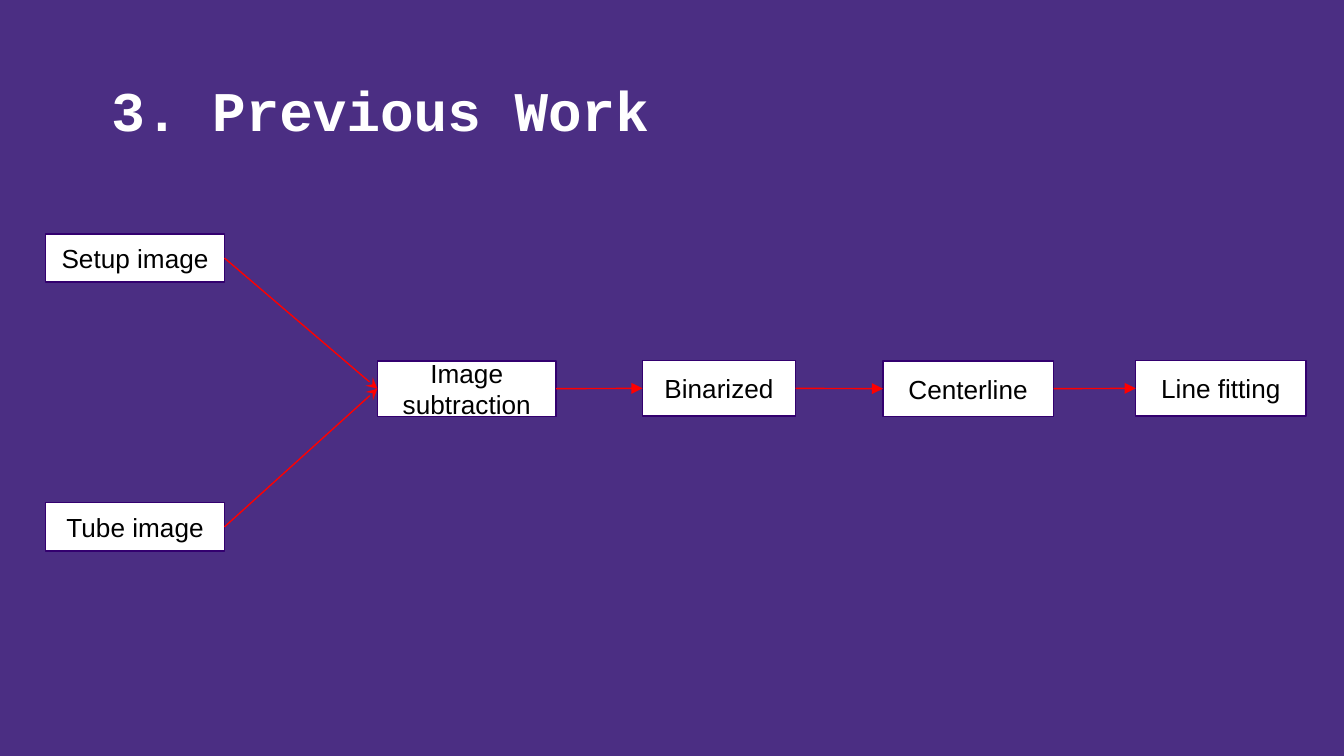
from lxml import etree
from pptx import Presentation
from pptx.dml.color import RGBColor
from pptx.enum.shapes import MSO_CONNECTOR, MSO_SHAPE
from pptx.enum.text import MSO_ANCHOR, PP_ALIGN
from pptx.oxml.ns import qn
from pptx.util import Pt

RECT = MSO_SHAPE.RECTANGLE
LINE = MSO_CONNECTOR.STRAIGHT
MID, LOW = MSO_ANCHOR.MIDDLE, MSO_ANCHOR.BOTTOM
LEFT, CENTER = PP_ALIGN.LEFT, PP_ALIGN.CENTER

# Content
TITLE = "3. Previous Work"
# name: left, top, width, height
STEPS = {
    "Setup image": (24.5, 125.3, 95.8, 25.9),
    "Tube image": (24.5, 269.3, 95.8, 25.9),
    "Image subtraction": (202.2, 193.5, 95.8, 29.5),
    "Binarized": (344.2, 193.3, 82, 29.5),
    "Centerline": (473, 193.5, 91.4, 29.5),
    "Line fitting": (608.4, 193.3, 91.4, 29.5),
}
NAMES = list(STEPS)
INPUTS, CHAIN = NAMES[:2], NAMES[2:]
LINKS = [(name, CHAIN[0], "stealth") for name in INPUTS]
LINKS += [(a, b, "triangle") for a, b in zip(CHAIN, CHAIN[1:])]


def color(code):
    return RGBColor.from_string(code)


def write(shape, text, font, size, code, bold, align, anchor, pad):
    frame = shape.text_frame
    frame.word_wrap = True
    frame.vertical_anchor = anchor
    frame.margin_left = frame.margin_right = Pt(7.2)
    frame.margin_top = frame.margin_bottom = Pt(pad)
    para = frame.paragraphs[0]
    para.alignment = align
    run = para.add_run()
    run.text = text
    run.font.name, run.font.size, run.font.bold = font, Pt(size), bold
    run.font.color.rgb = color(code)


def add_box(slide, name, place):
    box = slide.shapes.add_shape(RECT, *map(Pt, place))
    box.shadow.inherit = False
    box.fill.solid()
    box.fill.fore_color.rgb = color("FFFFFF")
    box.line.color.rgb = color("33006F")
    box.line.width = Pt(0.75)
    write(box, name, "Arial", 14, "000000", False, CENTER, MID, 7.2)
    return box


def add_link(slide, start, end, head):
    link = slide.shapes.add_connector(LINE, 0, 0, 0, 0)
    link.begin_connect(start, 3)
    link.end_connect(end, 1)
    link.line.color.rgb = color("FF0000")
    link.line.width = Pt(0.75)
    props = link._element.spPr
    tail = etree.SubElement(props.find(qn("a:ln")), qn("a:tailEnd"))
    tail.set("type", head)
    etree.SubElement(props, qn("a:effectLst"))


def main():
    deck = Presentation()
    deck.slide_width, deck.slide_height = Pt(720), Pt(405)
    slide = deck.slides.add_slide(deck.slide_layouts[6])
    slide.background.fill.solid()
    slide.background.fill.fore_color.rgb = color("4B2E83")

    # Title
    title = slide.shapes.add_textbox(Pt(52.6), Pt(21.6), Pt(639.4), Pt(58.3))
    write(title, TITLE, "Courier New", 30, "FFFFFF", True, LEFT, LOW, 3.6)

    # Flow chart
    boxes = {name: add_box(slide, name, at) for name, at in STEPS.items()}
    for start, end, head in LINKS:
        add_link(slide, boxes[start], boxes[end], head)

    deck.save("out.pptx")


if __name__ == "__main__":
    main()
